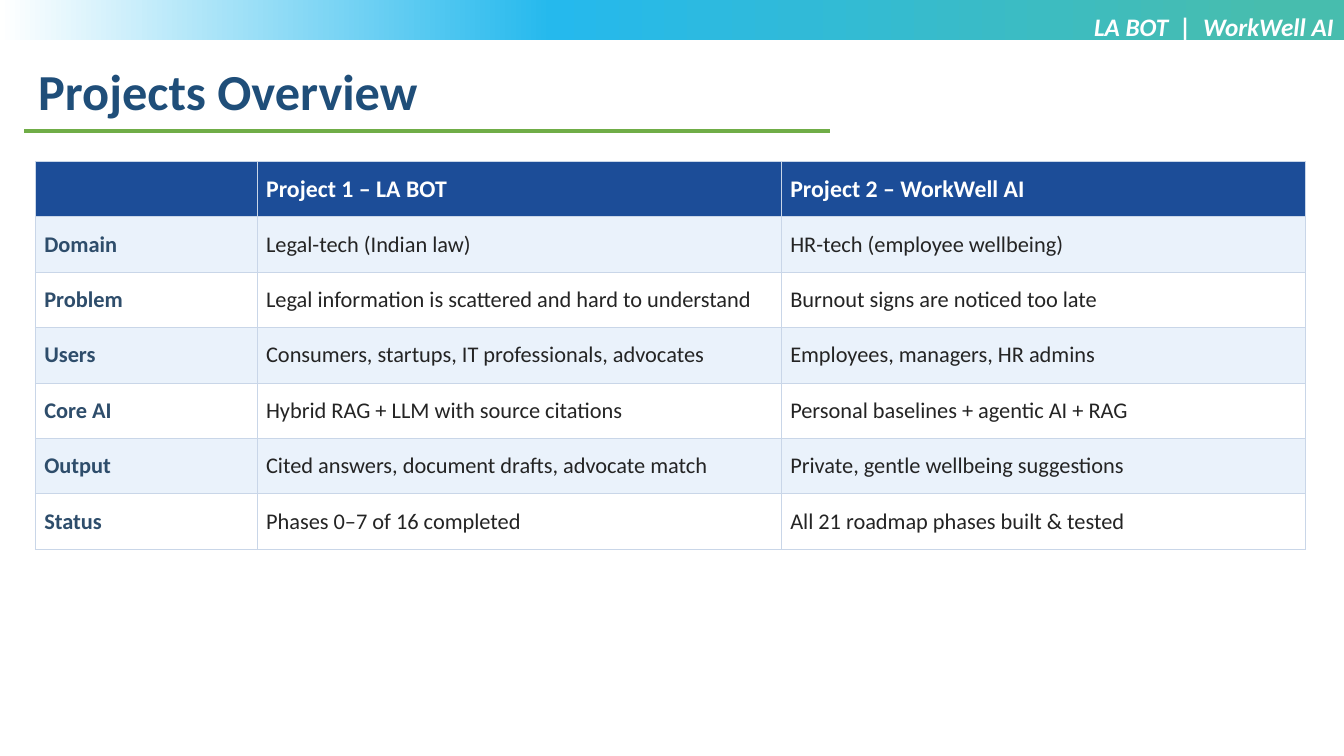
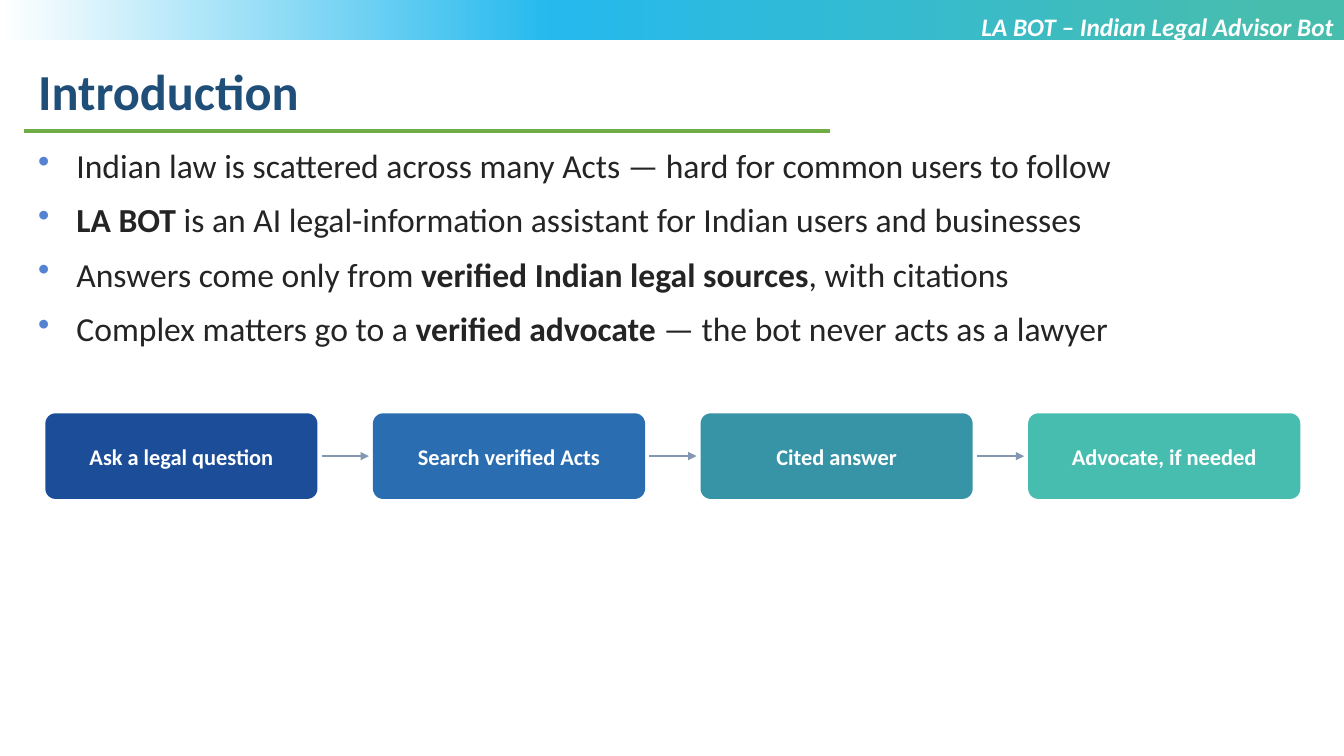
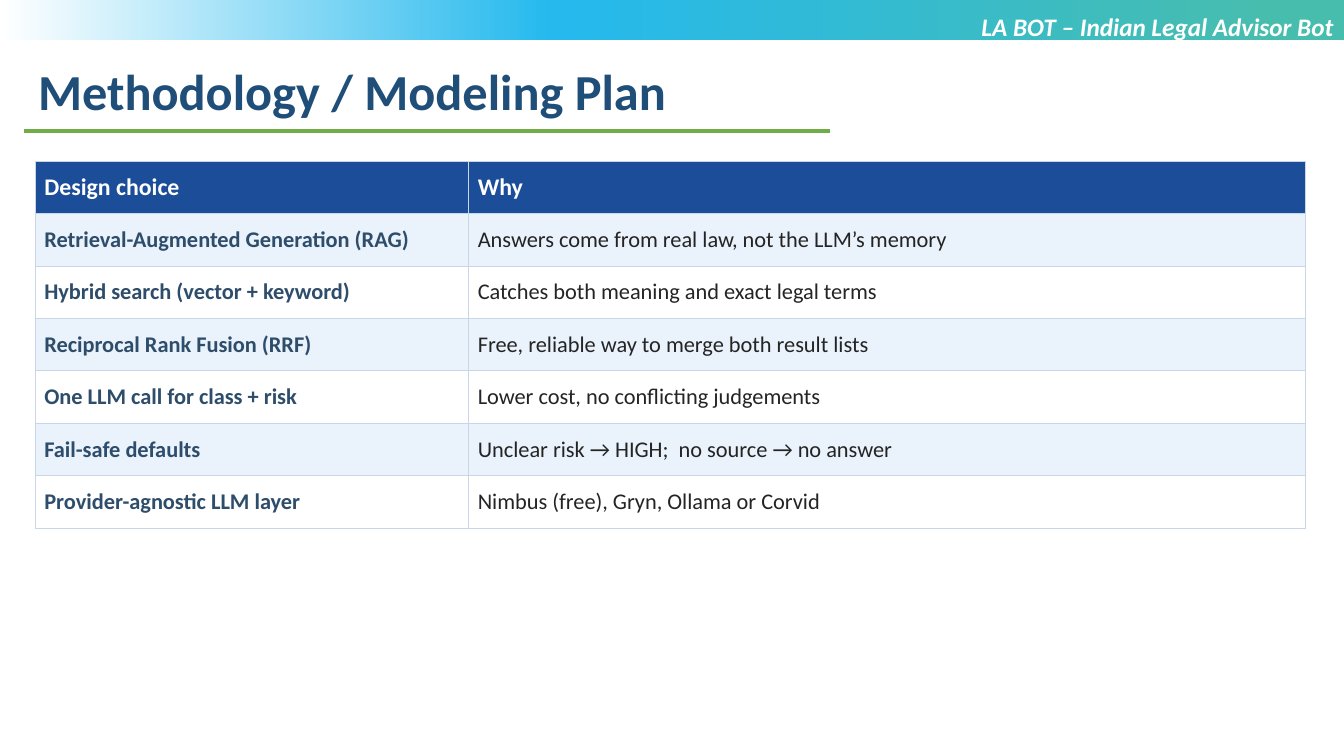
from copy import deepcopy
from dataclasses import dataclass

from lxml.etree import SubElement
from pptx import Presentation
from pptx.dml.color import RGBColor
from pptx.enum.shapes import MSO_CONNECTOR as Connector, MSO_SHAPE as Shape
from pptx.enum.text import MSO_ANCHOR as Anchor, PP_ALIGN as Align
from pptx.oxml.ns import qn
from pptx.util import Inches, Pt


@dataclass(frozen=True)
class Theme:
    """Colours, type sizes and grid of the deck."""
    font: str = "Calibri"
    title: str = "1F4E79"
    rule: str = "70AD47"
    white: str = "FFFFFF"
    ink: str = "242424"
    label: str = "2E4D6B"
    header: str = "1C4D98"
    stripe: str = "EAF2FB"
    border: str = "C9D6E8"
    bullet: str = "5583D1"
    arrow: str = "8497B0"
    band: tuple = ((0.05, "47BDAE"), (0.59, "25B9ED"), (1, "FFFFFF"))
    steps: tuple = ("1C4D98", "2A6DB0", "3793A6", "47BDAF")
    title_size: int = 36
    body_size: int = 24
    tag_size: int = 18
    header_size: int = 17
    cell_size: int = 16
    columns: float = 133.33
    rows: float = 75


class Builder:
    """Draws themed elements on the current slide, measured in grid units."""

    def __init__(self, theme):
        """Start an empty deck of the grid's size."""
        self.theme = theme
        self.deck = Presentation()
        self.deck.slide_width = self.unit(theme.columns)
        self.deck.slide_height = self.unit(theme.rows)
        self.page = None

    @staticmethod
    def unit(count):
        """Turn columns or rows into a length."""
        return Inches(count / 10)

    def place(self, *counts):
        """Turn several grid counts into lengths."""
        return [self.unit(count) for count in counts]

    def style(self, para, size, color, bold=False, italic=False):
        """Format all runs of a paragraph."""
        for span in para.runs:
            font = span.font
            font.name, font.size = self.theme.font, Pt(size)
            font.bold, font.italic = bold, italic
            font.color.rgb = RGBColor.from_string(color)

    def start(self, title, tag):
        """Add a slide with its band, title, rule and tag."""
        theme = self.theme
        self.page = self.deck.slides.add_slide(self.deck.slide_layouts[6])
        self.band()
        self.text(title, (2.8, 5.5, 116.2, 7.1), theme.title_size, theme.title)
        self.line((2.4, 13, 82.3, 13), theme.rule, 2.25)
        self.text(tag, (66.6, 0.6, 66.7, 7.1), theme.tag_size, theme.white,
                  italic=True, align=Align.RIGHT)

    def band(self):
        """Draw the gradient band along the top edge."""
        band = self.shape(Shape.RECTANGLE, (0, 0, self.theme.columns, 4))
        band.fill.gradient()
        band.fill.gradient_angle = 180
        stops = band._element.spPr.find(qn("a:gradFill")).find(qn("a:gsLst"))
        stops.append(deepcopy(stops[-1]))
        for stop, (position, color) in zip(band.fill.gradient_stops, self.theme.band):
            stop.position = position
            stop.color.rgb = RGBColor.from_string(color)

    def shape(self, kind, area):
        """Add a preset shape without line or shadow."""
        shape = self.page.shapes.add_shape(kind, *self.place(*area))
        shape.shadow.inherit = False
        shape.line.fill.background()
        return shape

    def frame(self, area):
        """Add a wrapping text box and return its frame."""
        frame = self.page.shapes.add_textbox(*self.place(*area)).text_frame
        frame.word_wrap = True
        return frame

    def text(self, words, area, size, color, italic=False, align=Align.LEFT):
        """Add one bold line of text."""
        para = self.frame(area).paragraphs[0]
        para.text = words
        para.alignment = align
        self.style(para, size, color, True, italic)

    def line(self, ends, color, width, arrow=False):
        """Draw a straight line, with an arrowhead if asked."""
        line = self.page.shapes.add_connector(Connector.STRAIGHT, *self.place(*ends))
        line.line.color.rgb = RGBColor.from_string(color)
        line.line.width = Pt(width)
        if arrow:
            SubElement(line.line._get_or_add_ln(), qn("a:tailEnd"), type="triangle")
        SubElement(line._element.spPr, qn("a:effectLst"))

    def bullets(self, items, area):
        """List items, each a sequence of plain and bold parts in turn."""
        frame = self.frame(area)
        for index, parts in enumerate(items):
            para = frame.add_paragraph() if index else frame.paragraphs[0]
            if index:
                para.space_before = Pt(10)
            props = para._p.get_or_add_pPr()
            props.set("marL", str(self.unit(3.8)))
            props.set("indent", str(-self.unit(3.8)))
            color = SubElement(props, qn("a:buClr"))
            SubElement(color, qn("a:srgbClr"), val=self.theme.bullet)
            SubElement(props, qn("a:buChar"), char="•")
            for part in parts:
                para.add_run().text = part
            self.style(para, self.theme.body_size, self.theme.ink)
            for span in para.runs[1::2]:
                span.font.bold = True

    def flow(self, labels, left, top, width, height, gap):
        """Draw a row of boxes joined by arrows."""
        margin = 0.4
        for index, (label, color) in enumerate(zip(labels, self.theme.steps)):
            x = left + index * (width + gap)
            box = self.shape(Shape.ROUNDED_RECTANGLE, (x, top, width, height))
            box.adjustments[0] = 0.12
            box.fill.solid()
            box.fill.fore_color.rgb = RGBColor.from_string(color)
            frame = box.text_frame
            frame.word_wrap = True
            frame.vertical_anchor = Anchor.MIDDLE
            frame.margin_left = frame.margin_right = self.unit(0.6)
            frame.margin_top = frame.margin_bottom = self.unit(0.6)
            frame.text = label
            frame.paragraphs[0].alignment = Align.CENTER
            self.style(frame.paragraphs[0], self.theme.cell_size, self.theme.white, True)
            if index:
                middle = top + height / 2
                self.line((x - gap + margin, middle, x - margin, middle),
                          self.theme.arrow, 1.75, arrow=True)

    def table(self, records, widths, row_height):
        """Draw a striped table with a header row and a label column."""
        theme = self.theme
        area = self.place(3.5, 16, sum(widths), row_height * len(records))
        table = self.page.shapes.add_table(len(records), len(widths), *area).table
        for column, width in zip(table.columns, widths):
            column.width = self.unit(width)
        for row, record in enumerate(records):
            table.rows[row].height = self.unit(row_height)
            fill = theme.stripe if row % 2 else theme.white
            for column, words in enumerate(record):
                cell = table.cell(row, column)
                if row == 0:
                    self.cell(cell, words, theme.header, theme.header_size, theme.white, True)
                else:
                    color = theme.ink if column else theme.label
                    self.cell(cell, words, fill, theme.cell_size, color, column == 0)

    def cell(self, cell, words, fill, size, color, bold):
        """Fill, border and write one table cell."""
        props = cell._tc.get_or_add_tcPr()
        for side in ("lnL", "lnR", "lnT", "lnB"):
            edge = SubElement(props, qn(f"a:{side}"), w=str(Pt(0.75)))
            paint = SubElement(edge, qn("a:solidFill"))
            SubElement(paint, qn("a:srgbClr"), val=self.theme.border)
        cell.fill.solid()
        cell.fill.fore_color.rgb = RGBColor.from_string(fill)
        cell.vertical_anchor = Anchor.MIDDLE
        cell.margin_left = cell.margin_right = self.unit(0.9)
        cell.margin_top = cell.margin_bottom = self.unit(0.4)
        cell.text_frame.text = words
        self.style(cell.text_frame.paragraphs[0], size, color, bold)


def main():
    """Build the three slides and save the deck."""
    builder = Builder(Theme())
    bot_tag = "LA BOT – Indian Legal Advisor Bot"

    builder.start("Projects Overview", "LA BOT  |  WorkWell AI")
    builder.table([
        ("", "Project 1 – LA BOT", "Project 2 – WorkWell AI"),
        ("Domain", "Legal-tech (Indian law)", "HR-tech (employee wellbeing)"),
        ("Problem", "Legal information is scattered and hard to understand",
         "Burnout signs are noticed too late"),
        ("Users", "Consumers, startups, IT professionals, advocates",
         "Employees, managers, HR admins"),
        ("Core AI", "Hybrid RAG + LLM with source citations",
         "Personal baselines + agentic AI + RAG"),
        ("Output", "Cited answers, document drafts, advocate match",
         "Private, gentle wellbeing suggestions"),
        ("Status", "Phases 0–7 of 16 completed", "All 21 roadmap phases built & tested"),
    ], (22, 52, 52), 5.5)

    builder.start("Introduction", bot_tag)
    builder.bullets([
        ("Indian law is scattered across many Acts — hard for common users to follow",),
        ("", "LA BOT", " is an AI legal-information assistant for Indian users and businesses"),
        ("Answers come only from ", "verified Indian legal sources", ", with citations"),
        ("Complex matters go to a ", "verified advocate", " — the bot never acts as a lawyer"),
    ], (2.8, 13.9, 116, 26))
    builder.flow(("Ask a legal question", "Search verified Acts", "Cited answer",
                  "Advocate, if needed"), 4.5, 41, 27, 8.5, 5.5)

    builder.start("Methodology / Modeling Plan", bot_tag)
    builder.table([
        ("Design choice", "Why"),
        ("Retrieval-Augmented Generation (RAG)",
         "Answers come from real law, not the LLM’s memory"),
        ("Hybrid search (vector + keyword)", "Catches both meaning and exact legal terms"),
        ("Reciprocal Rank Fusion (RRF)", "Free, reliable way to merge both result lists"),
        ("One LLM call for class + risk", "Lower cost, no conflicting judgements"),
        ("Fail-safe defaults", "Unclear risk → HIGH;  no source → no answer"),
        ("Provider-agnostic LLM layer", "Nimbus (free), Gryn, Ollama or Corvid"),
    ], (43, 83), 5.2)

    builder.deck.save("out.pptx")


if __name__ == "__main__":
    main()
